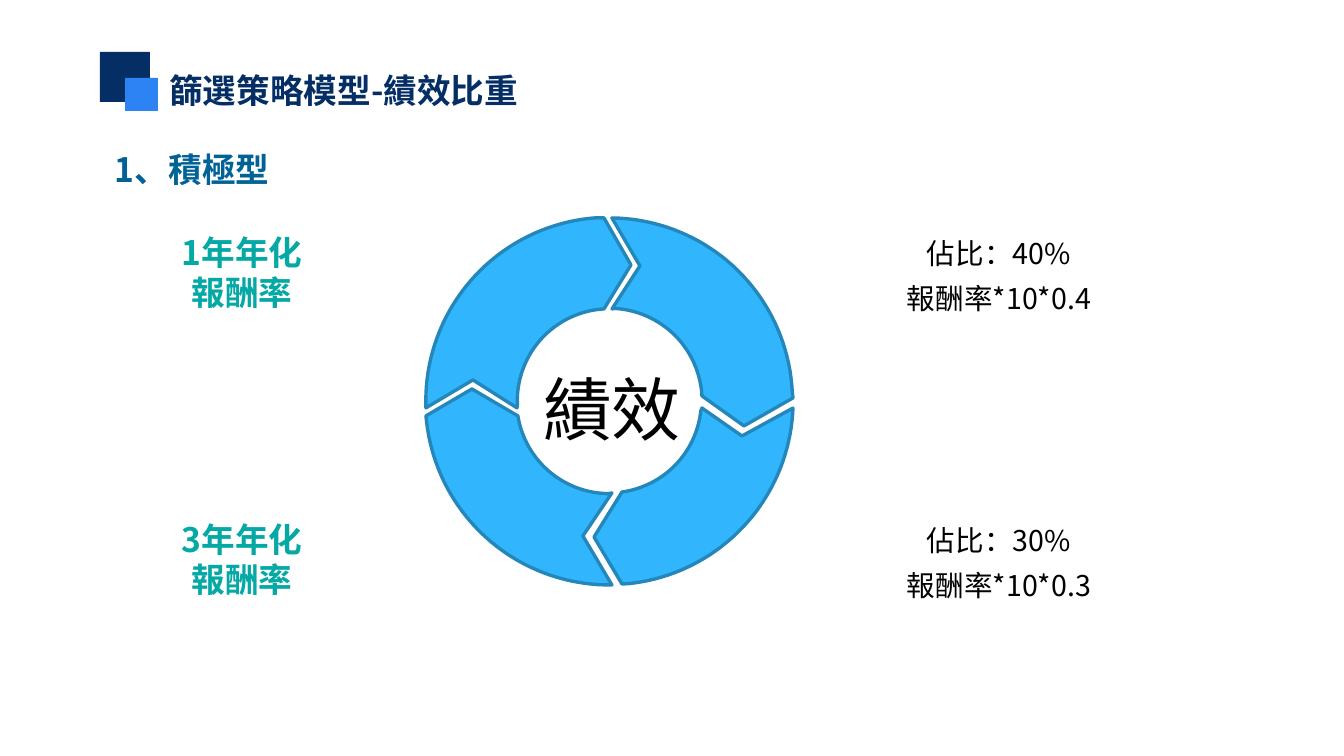
from math import atan2, cos, hypot, pi, sin

from lxml import etree
from pptx import Presentation
from pptx.dml.color import RGBColor
from pptx.enum.shapes import MSO_SHAPE
from pptx.enum.text import MSO_ANCHOR, MSO_AUTO_SIZE, PP_ALIGN
from pptx.oxml.ns import qn
from pptx.util import Emu, Pt

SCALE = 914400 / 121
FONT = "Noto Sans CJK SC"
NAVY, BLUE, TEAL, BLACK = "052E65", "2D83F4", "04A8A4", "000000"
SUBTITLE_BLUE, RING_FILL, RING_LINE = "016296", "31B6FD", "2487BB"
LEFT, CENTER = PP_ALIGN.LEFT, PP_ALIGN.CENTER
TOP, MIDDLE = MSO_ANCHOR.TOP, MSO_ANCHOR.MIDDLE
FIT_SHAPE = MSO_AUTO_SIZE.SHAPE_TO_FIT_TEXT
RECTANGLE = MSO_SHAPE.RECTANGLE

RING_CENTER = (609.5, 401)
ARC_STEPS = 40
SEGMENTS = [
    ([(612, 218), (640, 266), (612, 309)], [(793, 398), (744, 426), (702, 396)]),
    ([(793, 408), (742, 436), (702, 408)], [(622, 584), (594, 537), (622, 492)]),
    ([(612, 585), (583, 536), (612, 493)], [(426, 416), (472, 389), (518, 416)]),
    ([(426, 408), (473, 380), (517, 408)], [(604, 218), (631, 265), (604, 309)]),
]


def px(value):
    return Emu(round(value * SCALE))


def color(value):
    return RGBColor.from_string(value)


def write(shape, lines, size, text_color, bold=False, align=CENTER,
          anchor=TOP, spacing=1.0):
    frame = shape.text_frame
    frame.word_wrap = True
    frame.auto_size = FIT_SHAPE if anchor == TOP else MSO_AUTO_SIZE.NONE
    frame.vertical_anchor = anchor
    frame.text = "\n".join(lines)
    for para in frame.paragraphs:
        para.alignment = align
        para.line_spacing = spacing
        para.font.size = Pt(size)
        para.font.bold = bold
        para.font.color.rgb = color(text_color)
        para.font.name = FONT
        properties = para._p.pPr.find(qn("a:defRPr"))
        etree.SubElement(properties, qn("a:ea"), typeface=FONT)


def add_text(page, bounds, lines, size, text_color, **style):
    box = page.shapes.add_textbox(*map(px, bounds))
    write(box, lines, size, text_color, **style)
    return box


def set_title(page, bounds, text):
    title = page.shapes.title
    title.left, title.top, title.width, title.height = map(px, bounds)
    write(title, [text], 20, NAVY, bold=True, align=LEFT)


def add_square(page, left, top, side, fill):
    square = page.shapes.add_shape(RECTANGLE, px(left), px(top), px(side), px(side))
    square.shadow.inherit = False
    square.fill.solid()
    square.fill.fore_color.rgb = color(fill)
    square.line.fill.background()


def arc(start, end, clockwise):
    center_x, center_y = RING_CENTER
    first, last = (atan2(y - center_y, x - center_x) for x, y in (start, end))
    sweep = (last - first) % (2 * pi)
    if not clockwise:
        sweep -= 2 * pi
    radius = hypot(start[0] - center_x, start[1] - center_y)
    angles = [first + sweep * step / ARC_STEPS for step in range(1, ARC_STEPS)]
    middle = [(center_x + radius * cos(a), center_y + radius * sin(a)) for a in angles]
    return [start, *middle, end]


def add_ring_segment(page, tail, head):
    outline = [*arc(tail[0], head[0], True), head[1],
               *arc(head[2], tail[2], False), tail[1]]
    points = [(px(x), px(y)) for x, y in outline]
    builder = page.shapes.build_freeform(*points[0])
    builder.add_line_segments(points[1:], close=True)
    segment = builder.convert_to_shape()
    segment.shadow.inherit = False
    segment.fill.solid()
    segment.fill.fore_color.rgb = color(RING_FILL)
    segment.line.color.rgb = color(RING_LINE)
    segment.line.width = Pt(2)


def add_measure(page, top, years, percent, factor):
    add_text(page, (817, top - 13, 364, 115),
             [f"佔比：{percent}%", f"報酬率*10*{factor}"], 17, BLACK,
             anchor=MIDDLE, spacing=1.3)
    add_text(page, (162, top, 160, 93), [f"{years}年年化", "報酬率"], 20, TEAL,
             bold=True)


def main():
    deck = Presentation()
    deck.slide_width, deck.slide_height = px(1344), px(756)
    page = deck.slides.add_slide(deck.slide_layouts[5])

    set_title(page, (157, 64, 387, 53), "篩選策略模型-績效比重")
    add_square(page, 100, 52, 50, NAVY)
    add_square(page, 125, 78, 33, BLUE)
    add_text(page, (103, 143, 381, 53), ["1、積極型"], 20, SUBTITLE_BLUE,
             bold=True, align=LEFT)

    for tail, head in SEGMENTS:
        add_ring_segment(page, tail, head)
    add_text(page, (525, 361, 174, 93), ["績效"], 41, BLACK)

    add_measure(page, 226, 1, 40, 0.4)
    add_measure(page, 513, 3, 30, 0.3)

    deck.save("out.pptx")


main()
